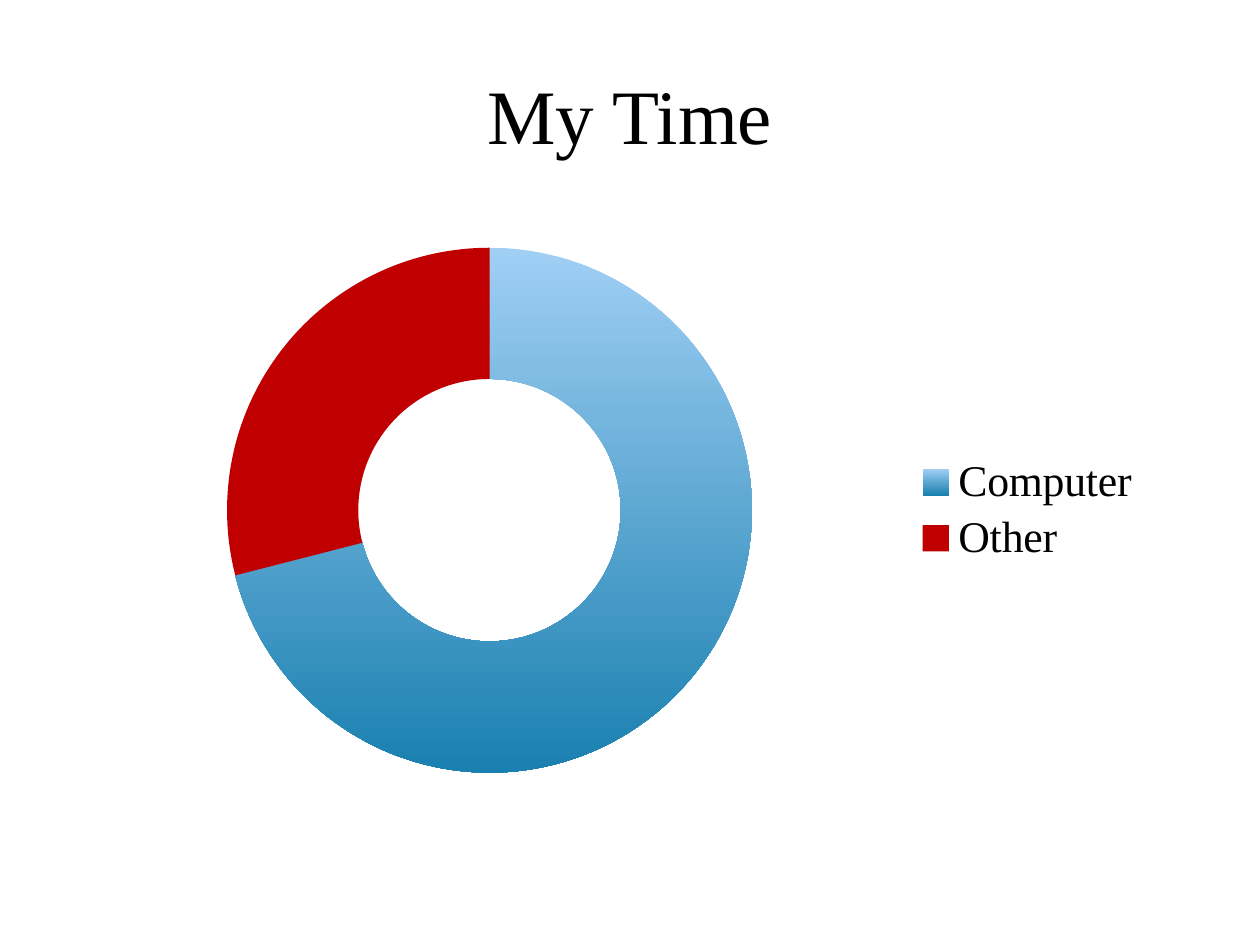
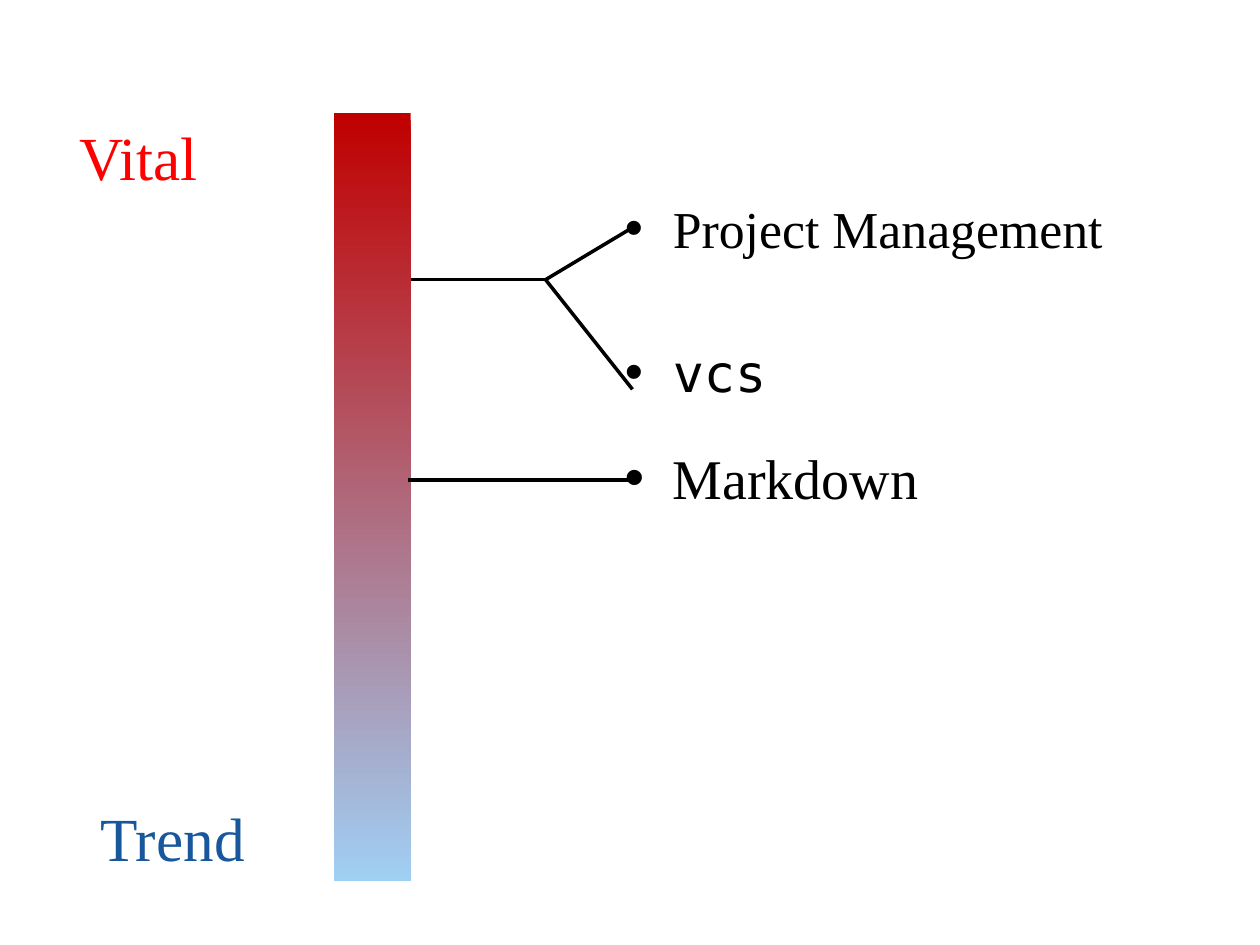
from lxml.etree import SubElement
from pptx import Presentation
from pptx.chart.data import CategoryChartData as Data
from pptx.dml.color import RGBColor as Rgb
from pptx.enum.chart import XL_CHART_TYPE as Kind, XL_LEGEND_POSITION as Side
from pptx.enum.shapes import MSO_CONNECTOR as Link, MSO_SHAPE as Form
from pptx.enum.text import MSO_ANCHOR as Anchor, MSO_AUTO_SIZE as Fit, PP_ALIGN as Align
from pptx.oxml import parse_xml
from pptx.oxml.ns import nsdecls, qn
from pptx.util import Inches, Pt

SERIF, MONO = "Times New Roman", "DejaVu Sans Mono"
BLACK, RED, DEEP, SKY = "000000", "FF0000", "C00000", "A0CFF4"
COLS, ROWS = 100, 75


def hue(code):
    return Rgb.from_string(code)


class Deck:
    def __init__(self):
        self.prs = Presentation()
        self.prs.slide_width, self.prs.slide_height = Inches(10), Inches(7.5)
        self.col = self.prs.slide_width / COLS
        self.row = self.prs.slide_height / ROWS

    def page(self, layout):
        self.slide = self.prs.slides.add_slide(self.prs.slide_layouts[layout])
        self.shapes = self.slide.shapes

    def box(self, x, y, w, h):
        return [round(n) for n in (x * self.col, y * self.row, w * self.col, h * self.row)]

    def move(self, item, *area):
        item.left, item.top, item.width, item.height = self.box(*area)

    def style(self, font, size, face=SERIF, color=BLACK):
        font.size, font.name = Pt(size), face
        font.color.rgb = hue(color)

    def run(self, para, text, size, face=SERIF, color=BLACK):
        part = para.add_run()
        part.text = text
        self.style(part.font, size, face, color)

    def title(self, text):
        head = self.shapes.title
        self.move(head, 5, 2.8, 90, 12.5)
        head.text_frame.vertical_anchor = Anchor.MIDDLE
        para = head.text_frame.paragraphs[0]
        para.alignment = Align.CENTER
        self.run(para, text, 44)

    def label(self, text, color, *area):
        frame = self.shapes.add_textbox(*self.box(*area)).text_frame
        frame.word_wrap = True
        self.run(frame.paragraphs[0], text, 35, color=color)

    def bullets(self, frame, items, size):
        frame.word_wrap = True
        frame.auto_size = Fit.NONE
        for i, (text, face, gap) in enumerate(items):
            para = frame.add_paragraph() if i else frame.paragraphs[0]
            para.space_before = Pt(gap)
            props = para._p.get_or_add_pPr()
            props.set("marL", str(Inches(0.38)))
            props.set("indent", str(Inches(-0.38)))
            SubElement(props, qn("a:buFont")).set("typeface", "Arial")
            SubElement(props, qn("a:buChar")).set("char", "•")
            self.run(para, text, size, face)

    def fade(self, fill, top, base):
        fill.gradient()
        fill.gradient_angle = 270
        for stop, code, spot in zip(fill.gradient_stops, (top, base), (0, 1)):
            stop.color.rgb = hue(code)
            stop.position = spot

    def bar(self, top, base, *area):
        bar = self.shapes.add_shape(Form.RECTANGLE, *self.box(*area))
        bar.shadow.inherit = False
        bar.line.fill.background()
        self.fade(bar.fill, top, base)

    def line(self, start, end):
        ends = self.box(*start, *end)
        line = self.shapes.add_connector(Link.STRAIGHT, *ends)
        line.line.color.rgb = hue(BLACK)
        line.line.width = Pt(2)
        SubElement(line._element.spPr, qn("a:effectLst"))

    def ring(self, name, parts, *area):
        data = Data()
        data.categories = list(parts)
        data.add_series(name, parts.values())
        chart = self.shapes.add_chart(Kind.DOUGHNUT, *self.box(*area), data).chart
        chart.has_title = False
        self.style(chart.font, 18, "Calibri")
        chart.has_legend = True
        chart.legend.position = Side.RIGHT
        chart.legend.include_in_layout = False
        self.style(chart.legend.font, 25)
        plot = chart.plots[0]
        plot.has_data_labels = False
        points = plot.series[0].points
        self.fade(points[0].format.fill, SKY, "1A80B0")
        fill = points[1].format.fill
        fill.solid()
        fill.fore_color.rgb = hue(DEEP)
        self.place(chart, x=0.15, y=0.03, w=0.48, h=0.94)

    def place(self, chart, **spots):
        area = chart._chartSpace.chart.plotArea
        for old in area.findall(qn("c:layout")):
            area.remove(old)
        modes = '<c:layoutTarget val="inner"/><c:xMode val="edge"/><c:yMode val="edge"/>'
        sizes = "".join(f'<c:{key} val="{val}"/>' for key, val in spots.items())
        area.insert(0, parse_xml(
            f'<c:layout {nsdecls("c")}><c:manualLayout>{modes}{sizes}</c:manualLayout></c:layout>'))


def main():
    deck = Deck()

    deck.page(5)
    deck.title("My Time")
    deck.ring("Series 1", {"Computer": 71, "Other": 29}, 5, 18.3, 86.8, 44.4)

    deck.page(1)
    head = deck.shapes.title._element
    head.getparent().remove(head)
    body = deck.slide.placeholders[1]
    deck.move(body, 48.6, 15.1, 42.8, 21.5)
    tools = [("Project Management", SERIF, 3), ("vcs", MONO, 47)]
    deck.bullets(body.text_frame, tools, 29.6)
    deck.bar(DEEP, SKY, 26.5, 9, 6.1, 60.9)
    deck.label("Vital", RED, 5.3, 9, 16.6, 6.9)
    deck.label("Trend", "18579B", 7, 63, 16.6, 6.9)
    note = deck.shapes.add_textbox(*deck.box(48.6, 34.7, 38.6, 8.6))
    deck.bullets(note.text_frame, [("Markdown", SERIF, 3)], 32)
    fork = (43.3, 22.2)
    for start, end in (((32.6, 22.2), fork), (fork, (50.3, 18)),
                       (fork, (50.2, 30.9)), ((32.4, 38.1), (50.2, 38.1))):
        deck.line(start, end)

    deck.prs.save("out.pptx")


if __name__ == "__main__":
    main()
